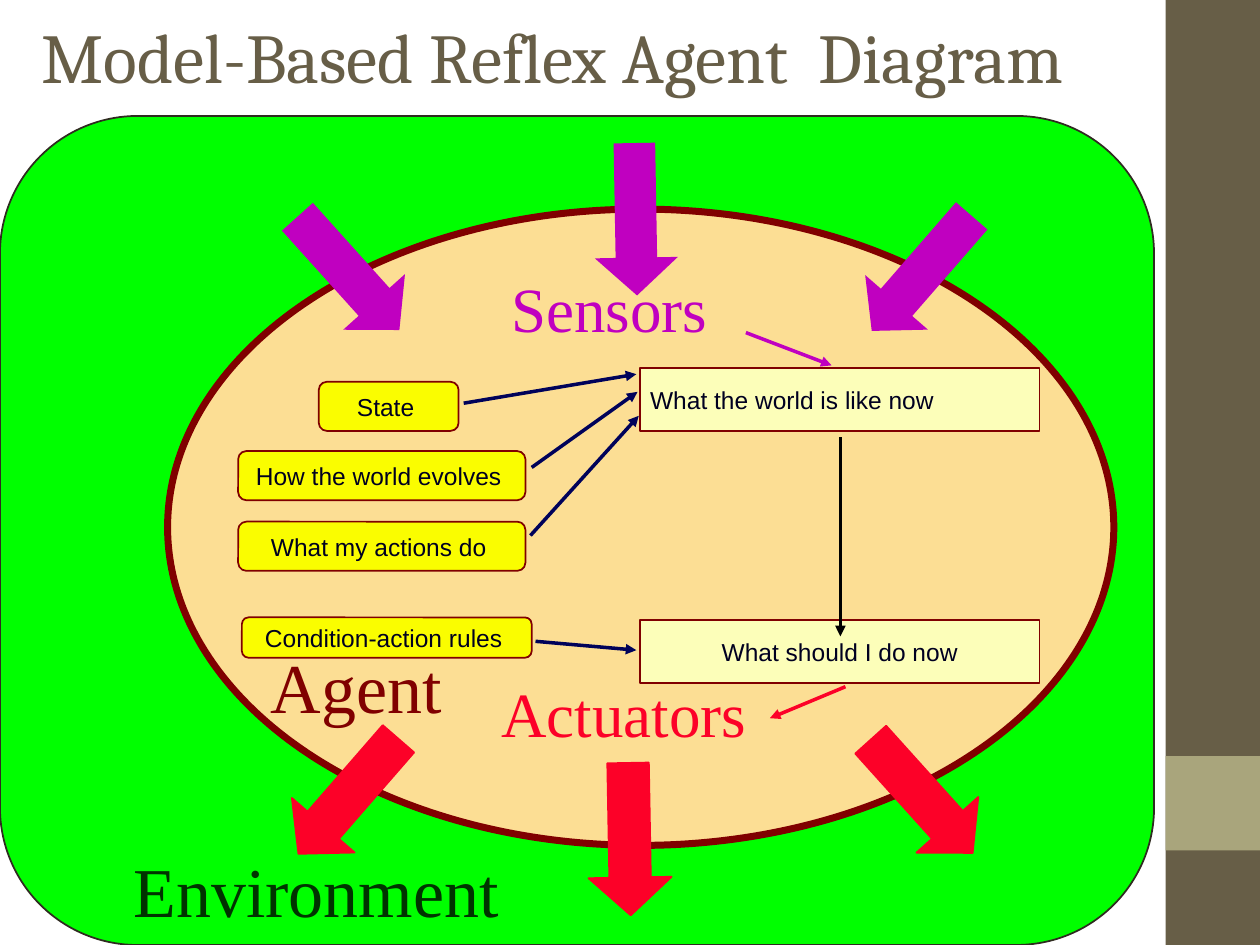
import pptx
import pptx.dml.color
import pptx.enum.shapes
import pptx.enum.text
import pptx.oxml
import pptx.oxml.ns
import pptx.util
from pptx.util import Inches

RGBColor = pptx.dml.color.RGBColor
Shape = pptx.enum.shapes.MSO_SHAPE
Align = pptx.enum.text.PP_ALIGN
Anchor = pptx.enum.text.MSO_ANCHOR

BROWN = RGBColor(0x67, 0x5E, 0x47)
OLIVE = RGBColor(0xA9, 0xA5, 0x7C)
GREEN = RGBColor(0x00, 0xFF, 0x00)
DARK_GREEN = RGBColor(0x00, 0x33, 0x00)
OUTLINE = RGBColor(0x2F, 0x2B, 0x20)
PEACH = RGBColor(0xFC, 0xDE, 0x94)
MAROON = RGBColor(0x80, 0x00, 0x00)
PURPLE = RGBColor(0xC0, 0x00, 0xC0)
RED = RGBColor(0xFC, 0x01, 0x28)
CREAM = RGBColor(0xFC, 0xFE, 0xB9)
YELLOW = RGBColor(0xFA, 0xFD, 0x00)
NAVY = RGBColor(0x00, 0x02, 0x5A)
INK = RGBColor(0x00, 0x00, 0x20)
BLACK = RGBColor(0x00, 0x00, 0x00)


def inside(box, left, top, width, height):
    """Return a box given by its offset within another box."""
    return box[0] + left, box[1] + top, width, height


def write(shape, text, size, font, color, insets, align=Align.LEFT, anchor=Anchor.TOP):
    """Fill a shape with one formatted line of text."""
    frame = shape.text_frame
    frame.text = text
    frame.word_wrap = False
    frame.vertical_anchor = anchor
    frame.margin_left, frame.margin_top, frame.margin_right, frame.margin_bottom = (
        Inches(inset) for inset in insets)
    para = frame.paragraphs[0]
    para.alignment = align
    span = para.runs[0]
    span.font.size = pptx.util.Pt(size)
    span.font.name = font
    span.font.color.rgb = color


def add_block(page, kind, box, fill, line=None, weight=1):
    """Add a flat preset shape."""
    shape = page.shapes.add_shape(kind, *map(Inches, box))
    shape.shadow.inherit = False
    shape.fill.solid()
    shape.fill.fore_color.rgb = fill
    if line is None:
        shape.line.fill.background()
    else:
        shape.line.color.rgb = line
        shape.line.width = pptx.util.Pt(weight)
    if kind == Shape.ROUNDED_RECTANGLE:
        shape.adjustments[0] = 0.166
    return shape


def add_label(page, box, text, size, color):
    """Add a large serif label."""
    label = page.shapes.add_textbox(*map(Inches, box))
    write(label, text, size, "Times New Roman", color, (0.04, 0, 0.04, 0))


def add_link(page, box, start, end, color):
    """Add a thin arrow between two points of a box."""
    points = [Inches(box[axis] + point[axis]) for point in (start, end) for axis in (0, 1)]
    link = page.shapes.add_connector(pptx.enum.shapes.MSO_CONNECTOR.STRAIGHT, *points)
    link.line.color.rgb = color
    link.line.width = pptx.util.Pt(2)
    line = link.line._get_or_add_ln()
    line.append(pptx.oxml.parse_xml(
        '<a:tailEnd %s type="triangle"/>' % pptx.oxml.ns.nsdecls("a")))
    link._element.spPr.append(pptx.oxml.parse_xml(
        "<a:effectLst %s/>" % pptx.oxml.ns.nsdecls("a")))


def add_sidebar(page, box):
    """Add the dark side band with its light square."""
    add_block(page, Shape.RECTANGLE, box, BROWN)
    add_block(page, Shape.RECTANGLE, inside(box, 0, 6, box[2], box[2]), OLIVE)


def add_title(page, box):
    """Add the slide heading."""
    title = page.shapes.add_textbox(*map(Inches, box))
    write(title, "Model-Based Reflex Agent  Diagram", 40, "Cambria", BROWN,
          (0.1, 0.05, 0.14, 0.05), anchor=Anchor.MIDDLE)


def add_environment(page, box):
    """Add the surroundings of the agent."""
    add_block(page, Shape.ROUNDED_RECTANGLE, box, GREEN, OUTLINE)
    add_label(page, inside(box, 1.02, 5.81, 3.45, 0.67), "Environment", 40, DARK_GREEN)


def add_agent(page, box):
    """Add the agent's oval and its name."""
    add_block(page, Shape.OVAL, box, PEACH, MAROON, 4)
    add_label(page, inside(box, 0.78, 3.45, 1.64, 0.67), "Agent", 40, MAROON)


def add_arrow_fan(page, box, arrows, color, line, label_at, label):
    """Add three thick arrows and the label they belong to."""
    for left, top, angle in arrows:
        arrow = add_block(page, Shape.RIGHT_ARROW, inside(box, left, top, 1.21, 0.66),
                          color, line)
        arrow.adjustments[0] = 0.5
        arrow.adjustments[1] = 0.455
        arrow.rotation = angle
    add_label(page, inside(box, *label_at), label, 36, color)


def add_decisions(page, box):
    """Add the two steps of the agent's reasoning."""
    for top, text, align, indent in ((1.26, "What the world is like now", Align.LEFT, 0.08),
                                     (3.26, "What should I do now", Align.CENTER, 0.04)):
        step = add_block(page, Shape.RECTANGLE, inside(box, 3.75, top, 3.17, 0.5),
                         CREAM, MAROON)
        write(step, text, 14, "Arial", INK, (indent, 0, 0.04, 0), align, Anchor.MIDDLE)


def add_knowledge(page, box):
    """Add the pieces of knowledge the agent relies on."""
    for left, top, width, height, text in (
            (1.2, 1.37, 1.11, 0.39, "State"),
            (0.56, 1.92, 2.28, 0.39, "How the world evolves"),
            (0.56, 2.48, 2.28, 0.39, "What my actions do"),
            (0.59, 3.24, 2.3, 0.32, "Condition-action rules")):
        item = add_block(page, Shape.ROUNDED_RECTANGLE,
                         inside(box, left, top, width, height), YELLOW, MAROON)
        write(item, text, 14, "Arial", INK, (0.05, 0.04, 0.1, 0.04),
              Align.CENTER, Anchor.MIDDLE)


def add_links(page, box):
    """Add the thin arrows between the agent's parts."""
    for start, end, color in (
            ((4.59, 0.98), (5.27, 1.24), PURPLE),
            ((5.34, 1.81), (5.34, 3.39), BLACK),
            ((5.38, 3.79), (4.78, 4.04), RED),
            ((2.35, 1.54), (3.72, 1.31), NAVY),
            ((2.92, 3.43), (3.72, 3.5), NAVY),
            ((2.89, 2.05), (3.73, 1.45), NAVY),
            ((2.88, 2.59), (3.74, 1.64), NAVY)):
        add_link(page, box, start, end, color)


def main():
    """Build the slide and save it."""
    deck = pptx.Presentation()
    deck.slide_width = Inches(10)
    deck.slide_height = Inches(7.5)
    page = deck.slides.add_slide(deck.slide_layouts[6])
    agent = (1.33, 1.66, 7.51, 5.05)
    add_sidebar(page, (9.25, 0, 0.75, 7.5))
    add_title(page, (0.23, 0, 9.42, 0.88))
    add_environment(page, (0, 0.92, 9.16, 6.58))
    add_agent(page, agent)
    add_arrow_fan(page, (2.16, 1.41, 5.76, 1.33),
                  ((4.55, 0.43, 131), (0, 0.43, 48), (2.28, 0, 89)),
                  PURPLE, None, (1.86, 0.73, 1.94, 0.6), "Sensors")
    add_arrow_fan(page, (2.16, 5.35, 5.76, 1.64),
                  ((4.55, 0.64, 48), (0, 0.64, 131), (2.23, 0.98, 89)),
                  RED, RED, (1.78, 0, 2.34, 0.6), "Actuators")
    add_decisions(page, agent)
    add_knowledge(page, agent)
    add_links(page, agent)
    deck.save("out.pptx")


if __name__ == "__main__":
    main()
